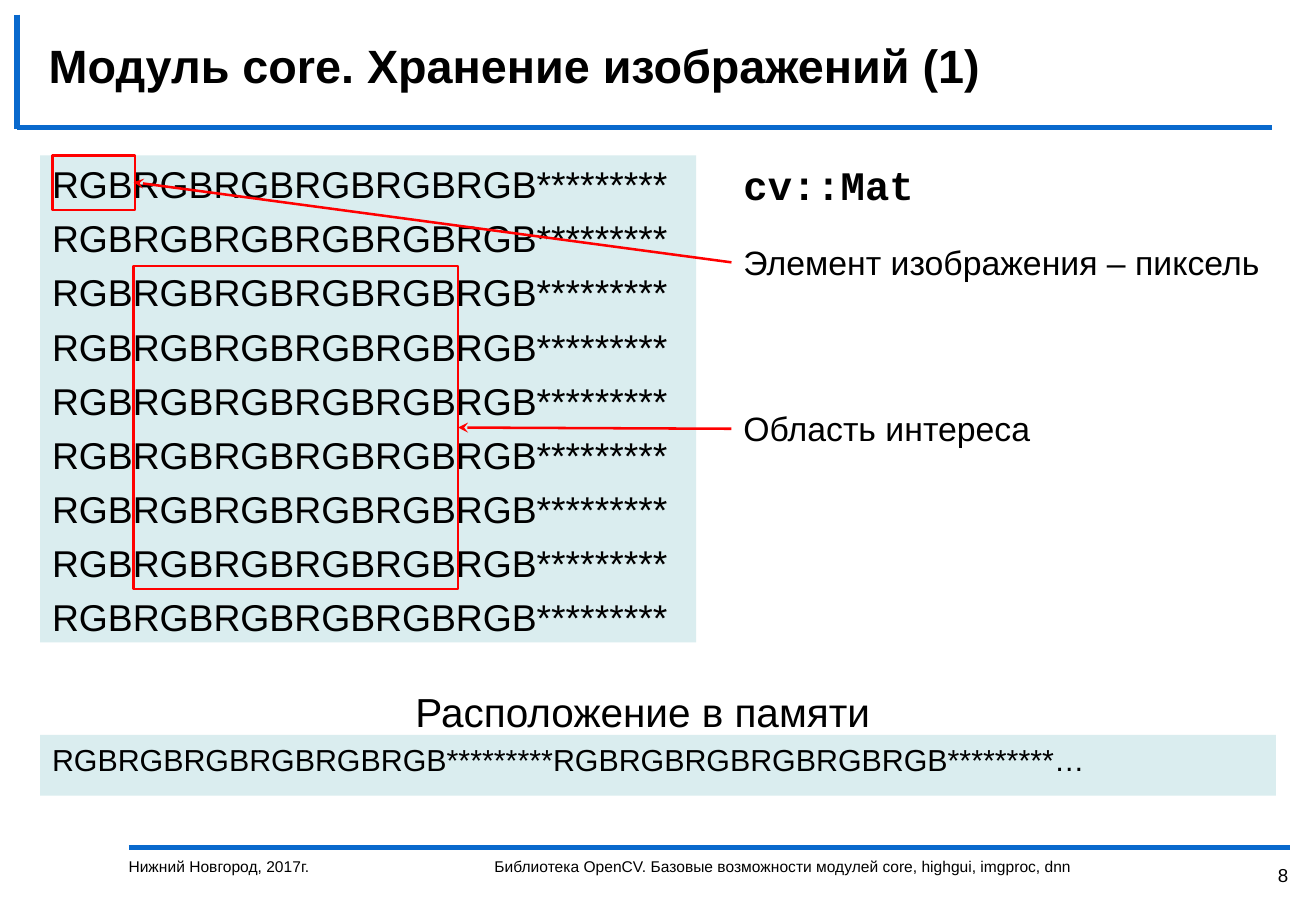
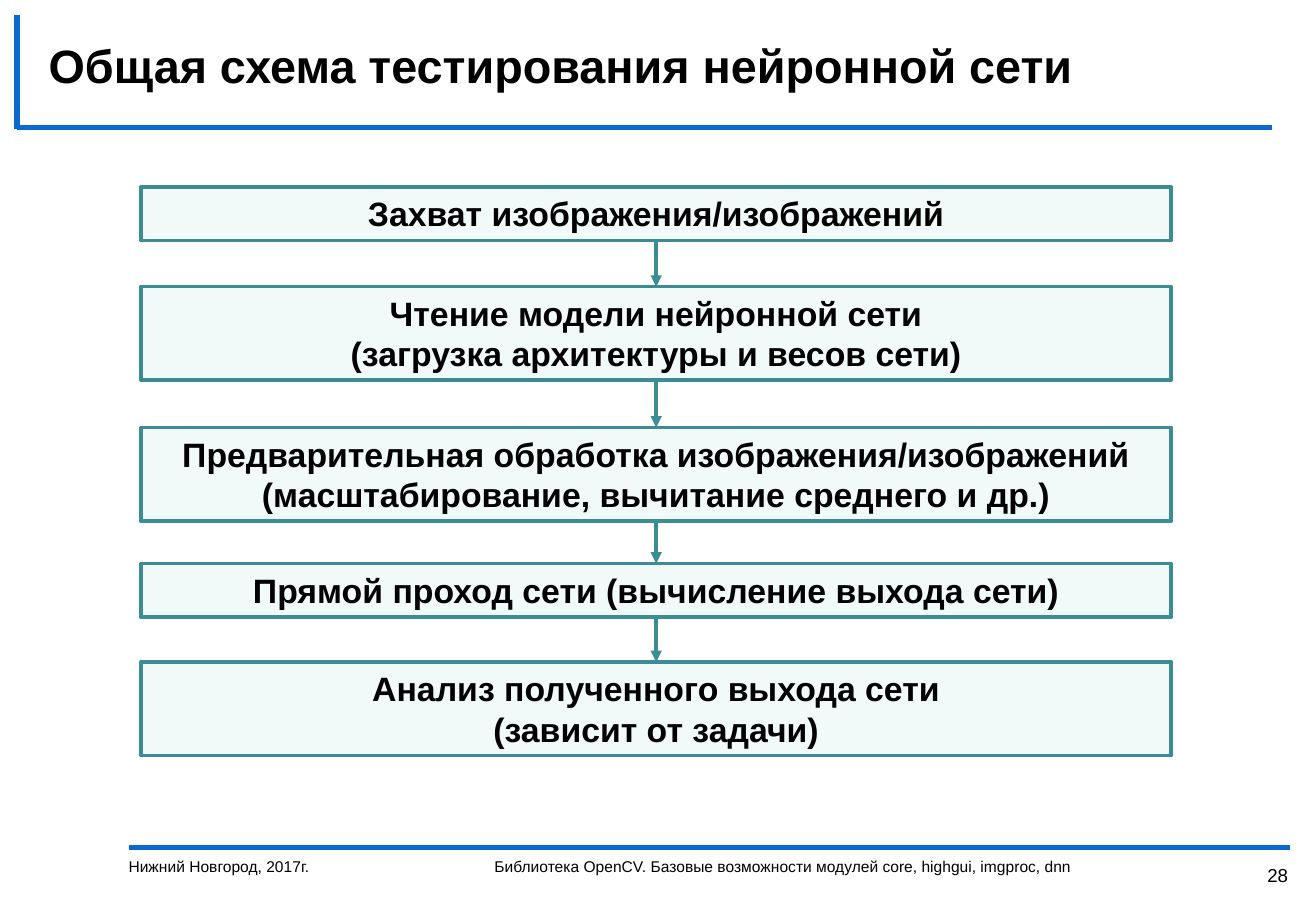
"""Builds two lecture slides on image storage and on testing a neural network."""
from lxml.etree import SubElement
from pptx import Presentation
from pptx.dml.color import RGBColor
from pptx.enum.shapes import MSO_CONNECTOR as Link, MSO_SHAPE as Shape
from pptx.enum.text import MSO_ANCHOR as Anchor, MSO_AUTO_SIZE as Fit, PP_ALIGN as Align
from pptx.oxml.ns import qn
from pptx.util import Inches, Pt

BLACK = RGBColor(0, 0, 0)
BLUE = RGBColor(0x09, 0x69, 0xCD)
RED = RGBColor(0xFF, 0, 0)
TEAL = RGBColor(0x3C, 0x8C, 0x93)
PALE = RGBColor(0xDA, 0xED, 0xEF)
MINT = RGBColor(0xF1, 0xF9, 0xF9)

PLACE = "Нижний Новгород, 2017г."
TOPIC = "Библиотека OpenCV. Базовые возможности модулей core, highgui, imgproc, dnn"
RULES = [
    ((1.06, 6.98), (10.62, 6.98)),
    ((0.14, 1.05), (10.47, 1.05)),
    ((0.14, 0.12), (0.14, 1.06)),
]

ROW = "RGB" * 6 + "*" * 9
ROWS = 9
GRIDS = [
    ((0.33, 1.28, 5.4, 4.01), "\n".join([ROW] * ROWS), 22.1),
    ((0.33, 6.05, 10.17, 0.5), ROW * 2 + "…", 18),
]
FRAMES = [(0.43, 1.28, 0.68, 0.45), (1.1, 2.19, 2.67, 2.66)]
LABELS = [
    ((6.02, 1.94, 4.48, 0.44), "Элемент изображения – пиксель", 20),
    ((6.02, 3.31, 2.58, 0.44), "Область интереса", 20),
    ((3.32, 5.61, 3.98, 0.5), "Расположение в памяти", 24),
]
CLASS = ((6.02, 1.27, 1.61, 0.5), "cv::Mat", 24)
POINTERS = [((6.02, 2.16), (1.1, 1.5)), ((6.02, 3.53), (3.77, 3.52))]

LEFT, WIDTH = 1.16, 8.48
STEPS = [
    (1.54, 0.44, "Захват изображения/изображений"),
    (2.36, 0.77, "Чтение модели нейронной сети\v(загрузка архитектуры и весов сети)"),
    (3.52, 0.77, "Предварительная обработка изображения/изображений "
                 "(масштабирование, вычитание среднего и др.)"),
    (4.64, 0.44, "Прямой проход сети (вычисление выхода сети)"),
    (5.45, 0.77, "Анализ полученного выхода сети\v(зависит от задачи)"),
]


def write(shape, text, size, bold=False, align=Align.LEFT, font="Arial",
          anchor=Anchor.TOP, before=0, wrap=True):
    frame = shape.text_frame
    frame.text = text
    frame.word_wrap = wrap
    frame.auto_size = Fit.NONE
    frame.vertical_anchor = anchor
    for para in frame.paragraphs:
        para.alignment = align
        para.space_before = Pt(before)
        for run in para.runs:
            run.font.name = font
            run.font.size = Pt(size)
            run.font.bold = bold
            run.font.color.rgb = BLACK


def label(slide, box, text, size, **style):
    write(slide.shapes.add_textbox(*map(Inches, box)), text, size, **style)


def rect(slide, box, fill=None, line=None, width=1.5):
    shape = slide.shapes.add_shape(Shape.RECTANGLE, *map(Inches, box))
    shape.shadow.inherit = False
    if fill is None:
        shape.fill.background()
    else:
        shape.fill.solid()
        shape.fill.fore_color.rgb = fill
    if line is None:
        shape.line.fill.background()
    else:
        shape.line.color.rgb = line
        shape.line.width = Pt(width)
    return shape


def connect(slide, start, end, color, width, head=None):
    line = slide.shapes.add_connector(Link.STRAIGHT, *map(Inches, start + end))
    line.line.color.rgb = color
    line.line.width = Pt(width)
    if head:
        SubElement(line.line._get_or_add_ln(), qn("a:tailEnd"), type=head)
    SubElement(line._element.spPr, qn("a:effectLst"))


def begin(deck, title, number):
    slide = deck.slides.add_slide(deck.slide_layouts[5])
    for start, end in RULES:
        connect(slide, start, end, BLUE, 3)
    label(slide, (10.15, 7.06, 0.55, 0.29), str(number), 11.1, align=Align.RIGHT)
    label(slide, (0.96, 7.01, 2.24, 0.49), PLACE, 9.2)
    label(slide, (3.29, 7.01, 6.3, 0.49), TOPIC, 9.2, align=Align.CENTER)
    head = slide.shapes.title
    head.left, head.top, head.width, head.height = map(Inches, (0.3, 0.23, 9.93, 0.61))
    write(head, title, 27.7, bold=True, anchor=Anchor.MIDDLE)
    return slide


def storage(deck):
    slide = begin(deck, "Модуль core. Хранение изображений (1)", 8)
    for box, text, size in GRIDS:
        write(rect(slide, box, PALE), text, size, before=size / 4)
    for box in FRAMES:
        rect(slide, box, line=RED)
    for start, end in POINTERS:
        connect(slide, start, end, RED, 1.5, "stealth")
    for item in LABELS:
        label(slide, *item, wrap=False)
    label(slide, *CLASS, bold=True, font="Courier New", wrap=False)


def testing(deck):
    slide = begin(deck, "Общая схема тестирования нейронной сети", 28)
    for top, height, text in STEPS:
        box = rect(slide, (LEFT, top, WIDTH, height), MINT, TEAL, 2.25)
        write(box, text, 20, bold=True, align=Align.CENTER)
    mid = LEFT + WIDTH / 2
    for (top, height, _), (below, _, _) in zip(STEPS, STEPS[1:]):
        connect(slide, (mid, top + height), (mid, below), TEAL, 2.25, "triangle")


def main():
    deck = Presentation()
    deck.slide_width, deck.slide_height = Inches(10.83), Inches(7.5)
    storage(deck)
    testing(deck)
    deck.save("out.pptx")


if __name__ == "__main__":
    main()
